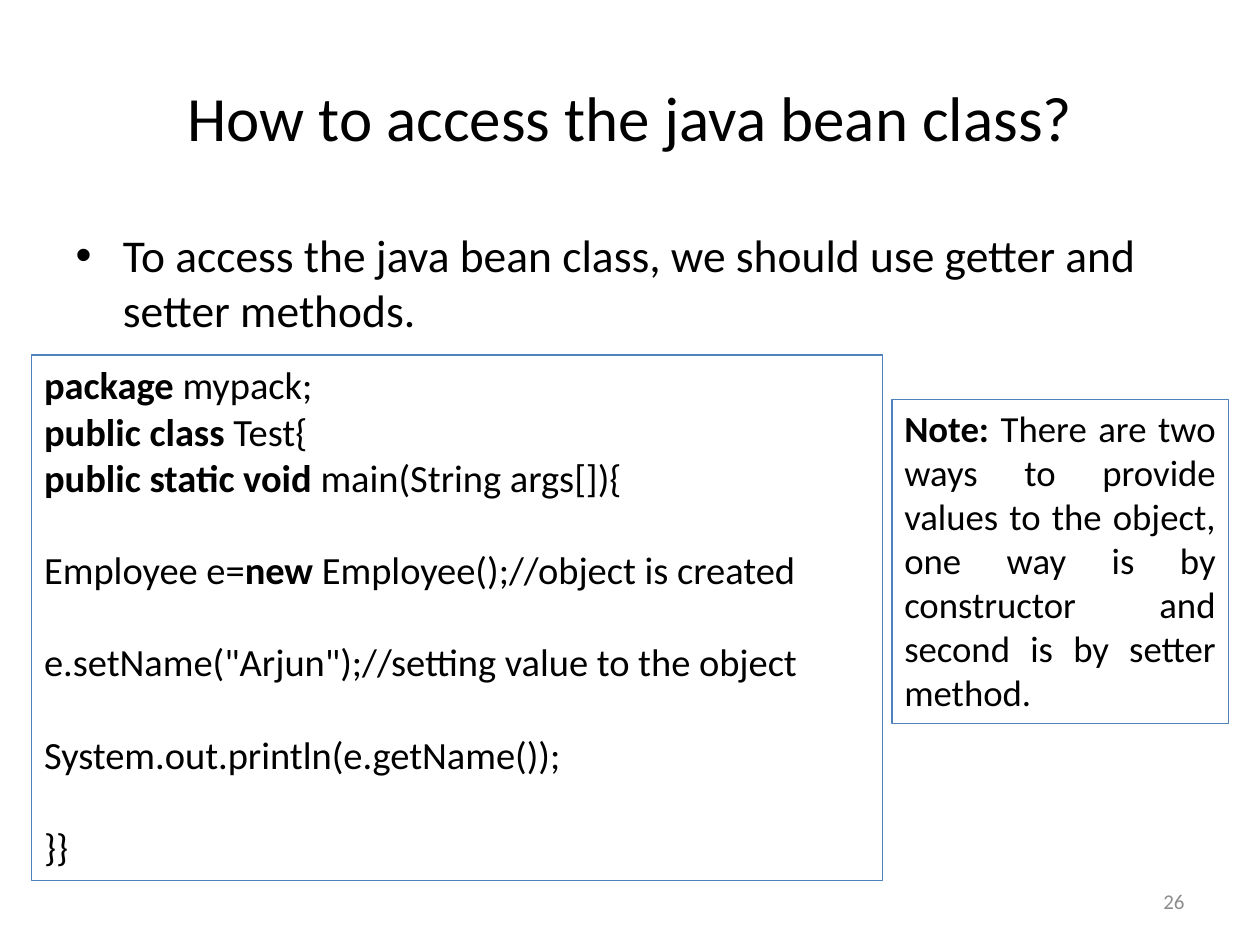
"""Build the slide on reading and setting the values of a java bean."""
from pptx import Presentation
from pptx.dml.color import RGBColor
from pptx.enum.shapes import MSO_SHAPE
from pptx.enum.text import MSO_ANCHOR, PP_ALIGN
from pptx.util import Cm, Pt

RECT = MSO_SHAPE.RECTANGLE
TOP, MIDDLE = MSO_ANCHOR.TOP, MSO_ANCHOR.MIDDLE
LEFT, CENTER, RIGHT, JUSTIFY = (
    PP_ALIGN.LEFT, PP_ALIGN.CENTER, PP_ALIGN.RIGHT, PP_ALIGN.JUSTIFY)
FONT, BLACK, GRAY, BLUE = "Calibri", "000000", "8C8C8C", "4F81BD"
GAP = 26.4

TITLE = "How to access the java bean class?"
POINT = ("To access the java bean class, we should use getter and "
         "setter methods.")
PAGE = "26"
CODE = [
    ("**package** mypack;", 0),
    ("**public class** Test{", 0),
    ("**public static void** main(String args[]){", 0),
    ("Employee e=**new** Employee();//object is created", GAP),
    ('e.setName("Arjun");//setting value to the object', GAP),
    ("System.out.println(e.getName());", GAP),
    ("}}", GAP),
]
NOTE = [("**Note:** There are two ways to provide values to the object, "
         "one way is by constructor and second is by setter method.", 0)]
BOXES = [
    (CODE, (0.64, 7.16, 17.15, 10.59), 22, LEFT),
    (NOTE, (17.98, 8.05, 6.78, 6.53), 21, JUSTIFY),
]


def tint(code):
    return RGBColor.from_string(code)


def place(shape, area):
    shape.left, shape.top, shape.width, shape.height = map(Cm, area)


def write(shape, lines, size, align, anchor=TOP, color=BLACK):
    """Write (text, space before) lines, with ** around bold parts."""
    frame = shape.text_frame
    frame.word_wrap = True
    frame.vertical_anchor = anchor
    for row, (text, space) in enumerate(lines):
        para = frame.add_paragraph() if row else frame.paragraphs[0]
        para.alignment = align
        para.space_before = Pt(space)
        para.font.name = FONT
        para.font.size = Pt(size)
        para.font.color.rgb = tint(color)
        for part, words in enumerate(text.split("**")):
            if words:
                run = para.add_run()
                run.text = words
                if part % 2:
                    run.font.bold = True


deck = Presentation()
deck.slide_width, deck.slide_height = Cm(25.4), Cm(19.05)
slide = deck.slides.add_slide(deck.slide_layouts[1])
shapes = slide.shapes

title, body = slide.placeholders
place(title, (1.27, 0.76, 22.86, 3.18))
write(title, [(TITLE, 0)], 36, CENTER, MIDDLE)
place(body, (1.27, 4.45, 22.86, 12.57))
write(body, [(POINT, 5.2)], 26, LEFT)

page = shapes.add_textbox(Cm(18.2), Cm(17.65), Cm(5.93), Cm(1.02))
write(page, [(PAGE, 0)], 12, RIGHT, MIDDLE, GRAY)

for lines, area, size, align in BOXES:
    box = shapes.add_shape(RECT, *map(Cm, area))
    box.shadow.inherit = False
    box.fill.background()
    box.line.color.rgb = tint(BLUE)
    box.line.width = Pt(0.75)
    write(box, lines, size, align)

deck.save("out.pptx")
